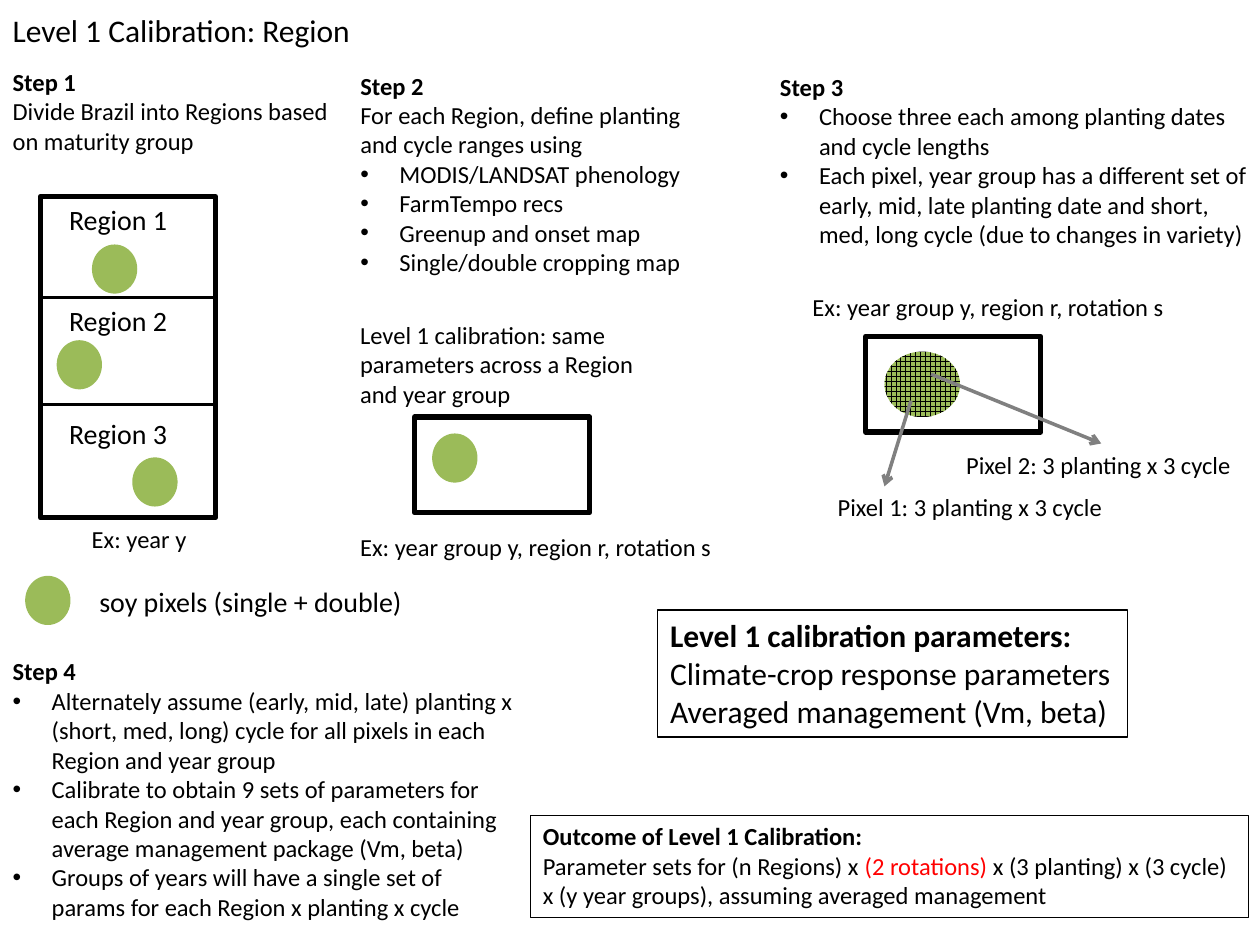
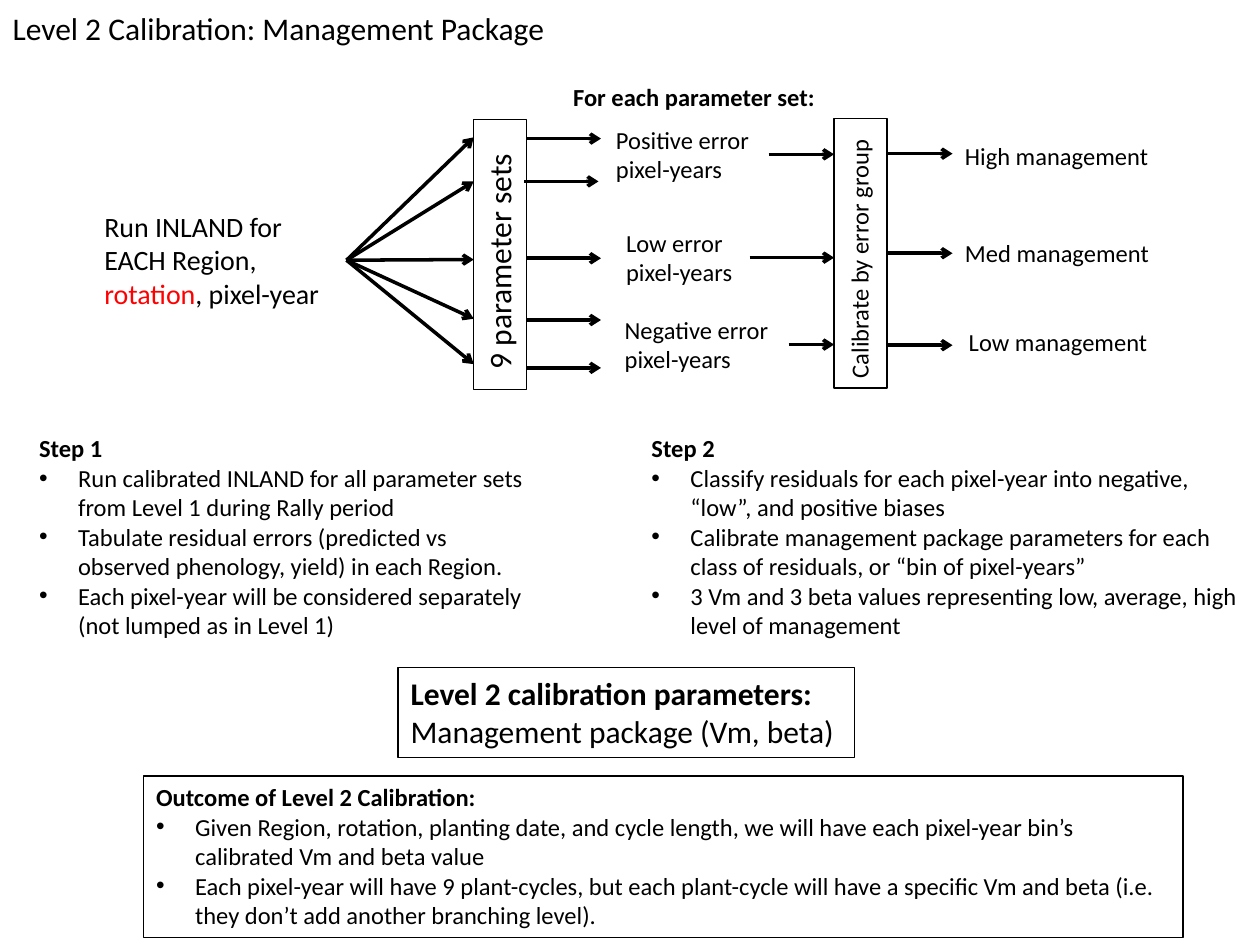
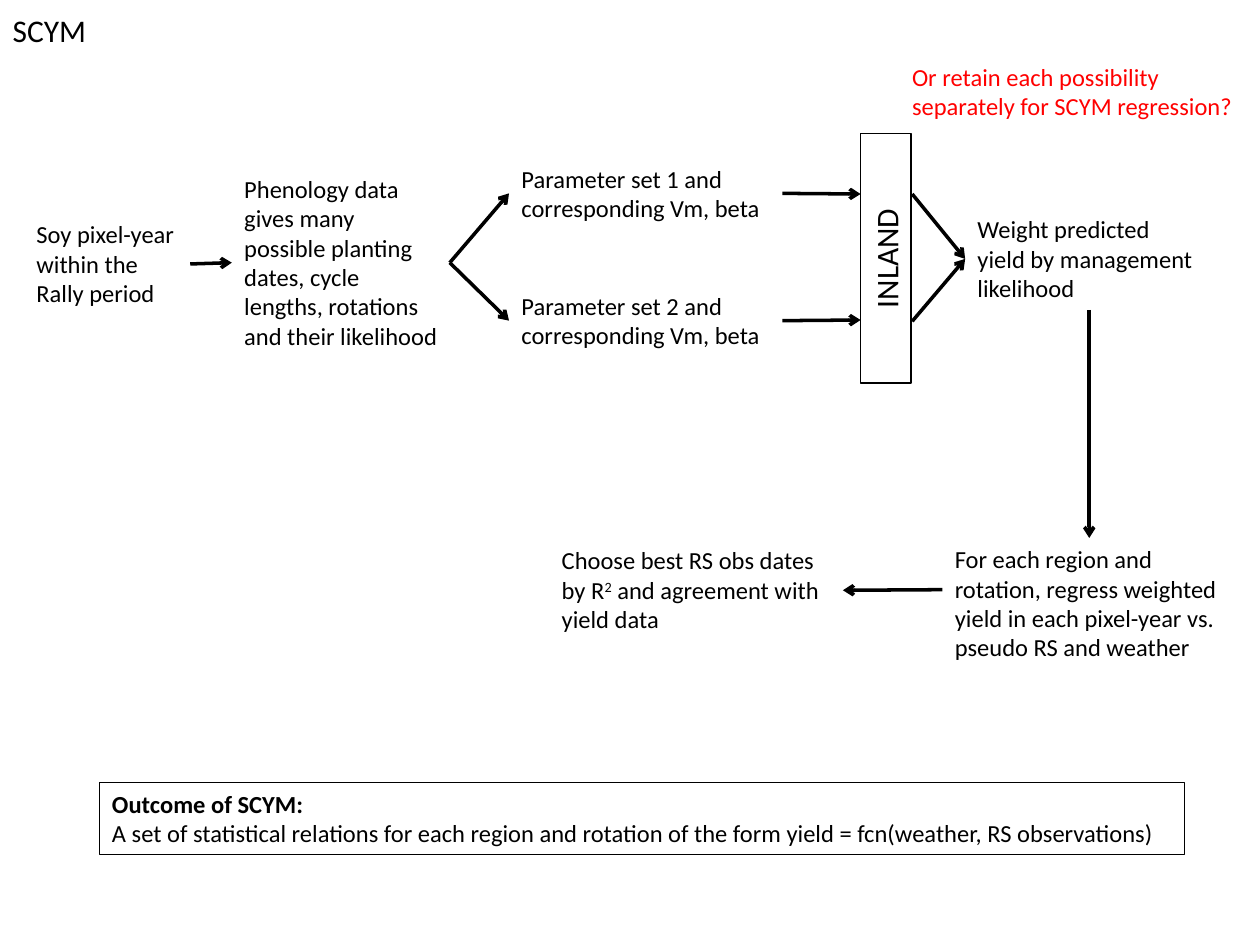
from dataclasses import dataclass

from lxml.etree import SubElement
from pptx import Presentation
from pptx.dml.color import RGBColor
from pptx.enum.dml import MSO_PATTERN
from pptx.enum.shapes import MSO_CONNECTOR, MSO_SHAPE
from pptx.enum.text import MSO_ANCHOR, MSO_AUTO_SIZE, PP_ALIGN
from pptx.oxml.ns import qn
from pptx.util import Inches, Pt


@dataclass(frozen=True)
class Theme:
    font: str = "Calibri"
    ink: RGBColor = RGBColor(0, 0, 0)
    accent: RGBColor = RGBColor(0xFF, 0, 0)
    soy: RGBColor = RGBColor(0x9B, 0xBB, 0x59)
    pointer: RGBColor = RGBColor(0x80, 0x80, 0x80)
    title: int = 18
    label: int = 16
    body: int = 14
    hairline: float = 0.75
    rule: float = 2
    frame: float = 3
    indent: float = 0.31


THEME = Theme()
TOP, LEFT, BOTTOM, RIGHT = range(4)

# Content: a paragraph is (kind, text) or (kind, [(text, style), ...])
LAYOUT_TITLE_ONLY, LAYOUT_TWO_LISTS, LAYOUT_FOUR_LISTS = 5, 3, 4

REGION_STEPS = [
    ((0, 0.48, 2.76, 0.81), [
        ("head", "Step 1"),
        ("plain", "Divide Brazil into Regions based on maturity group")]),
    ((2.76, 0.51, 2.76, 1.75), [
        ("head", "Step 2"),
        ("plain", "For each Region, define planting and cycle ranges using"),
        ("bullet", "MODIS/LANDSAT phenology"),
        ("bullet", "FarmTempo recs"),
        ("bullet", "Greenup and onset map"),
        ("bullet", "Single/double cropping map")]),
    ((6.09, 0.52, 3.91, 1.51), [
        ("head", "Step 3"),
        ("bullet", "Choose three each among planting dates and cycle lengths"),
        ("bullet", "Each pixel, year group has a different set of early, mid, late "
                   "planting date and short, med, long cycle (due to changes in variety)")]),
    ((0, 5.16, 4.21, 2.22), [
        ("head", "Step 4"),
        ("bullet", "Alternately assume (early, mid, late) planting x (short, med, long) "
                   "cycle for all pixels in each Region and year group"),
        ("bullet", "Calibrate to obtain 9 sets of parameters for each Region and year "
                   "group, each containing average management package (Vm, beta)"),
        ("bullet", "Groups of years will have a single set of params for each "
                   "Region x planting x cycle")]),
]
REGION_PARAMETERS = [
    ("head", "Level 1 calibration parameters:"),
    ("plain", "Climate-crop response parameters"),
    ("plain", "Averaged management (Vm, beta)")]
REGION_OUTCOME = [
    ("head", "Outcome of Level 1 Calibration:"),
    ("plain", [("Parameter sets for (n Regions) x ", ""), ("(2 rotations)", "accent"),
               (" x (3 planting) x (3 cycle) x (y year groups), "
                "assuming averaged management", "")])]
# Region name, top of its label, left and top of its soy spot
REGIONS = [("Region 1", 1.56, 0.73, 1.94),
           ("Region 2", 2.36, 0.45, 2.7),
           ("Region 3", 3.26, 1.05, 3.63)]
GROUP_EXAMPLE = "Ex: year group y, region r, rotation s"
# Pixel label, its place, pointer start and end
PIXELS = [("Pixel 1: 3 planting x 3 cycle", (6.55, 3.86), (7.23, 3.18), (7.02, 3.86)),
          ("Pixel 2: 3 planting x 3 cycle", (7.57, 3.52), (7.39, 2.97), (8.74, 3.52))]

PACKAGE_STEPS = [
    ((0.21, 3.39, 4.18, 1.75), [
        ("head", "Step 1"),
        ("bullet", "Run calibrated INLAND for all parameter sets from Level 1 "
                   "during Rally period"),
        ("bullet", "Tabulate residual errors (predicted vs observed phenology, yield) "
                   "in each Region."),
        ("bullet", "Each pixel-year will be considered separately "
                   "(not lumped as in Level 1)")]),
    ((5.07, 3.39, 4.98, 1.75), [
        ("head", "Step 2"),
        ("bullet", "Classify residuals for each pixel-year into negative, “low”, "
                   "and positive biases"),
        ("bullet", "Calibrate management package parameters for each class of "
                   "residuals, or “bin of pixel-years”"),
        ("bullet", "3 Vm and 3 beta values representing low, average, high "
                   "level of management")]),
]
PACKAGE_PARAMETERS = [
    ("head", "Level 2 calibration parameters:"),
    ("plain", "Management package (Vm, beta)")]
PACKAGE_OUTCOME = [
    ("head", "Outcome of Level 2 Calibration:"),
    ("bullet", "Given Region, rotation, planting date, and cycle length, we will have "
               "each pixel-year bin’s calibrated Vm and beta value"),
    ("bullet", "Each pixel-year will have 9 plant-cycles, but each plant-cycle will have "
               "a specific Vm and beta (i.e. they don’t add another branching level).")]
RUN_MODEL = [("plain", [("Run INLAND for EACH Region, ", ""), ("rotation", "accent"),
                        (", pixel-year", "")])]
# Arrow heights into the parameter sets; start and height of those leaving
FAN_ENDS = [1.09, 1.44, 2.06, 2.53, 2.89]
SET_EXITS = [(4.18, 1.1), (4.16, 1.44), (4.18, 2.05), (4.18, 2.54), (4.18, 2.92)]
# Error group and place, management level and place, arrow height
ERROR_GROUPS = [
    ("Positive error pixel-years", (4.79, 0.94, 1.31, 0.57),
     "High management", (7.56, 1.07, 1.67, 0.34), 1.22),
    ("Low error pixel-years", (4.87, 1.76, 1.08, 0.57),
     "Med management", (7.56, 1.84, 1.68, 0.34), 2.01),
    ("Negative error pixel-years", (4.86, 2.45, 1.4, 0.57),
     "Low management", (7.59, 2.55, 1.63, 0.34), 2.74)]

FLOW = {
    "soy": ("Soy pixel-year within the Rally period", (0.19, 1.69, 1.32, 0.81)),
    "phenology": ("Phenology data gives many possible planting dates, cycle lengths, "
                  "rotations and their likelihood", (1.84, 1.33, 1.73, 1.51)),
    "set 1": ("Parameter set 1 and corresponding Vm, beta", (4.04, 1.25, 2.17, 0.57)),
    "set 2": ("Parameter set 2 and corresponding Vm, beta", (4.04, 2.26, 2.17, 0.57)),
    "weight": ("Weight predicted yield by management likelihood",
               (7.66, 1.65, 1.97, 0.81)),
    "regress": ("For each region and rotation, regress weighted yield in each "
                "pixel-year vs. pseudo RS and weather", (7.48, 4.27, 2.33, 1.04)),
    "choose": ([("Choose best RS obs dates by R", ""), ("2", "super"),
                (" and agreement with yield data", "")], (4.36, 4.28, 2.33, 0.81)),
}
FLOW_LINKS = [
    (("soy", RIGHT), ("phenology", LEFT)),
    (("phenology", RIGHT), ("set 1", LEFT)),
    (("phenology", RIGHT), ("set 2", LEFT)),
    (("set 1", RIGHT), (6.83, 1.54)),
    (("set 2", RIGHT), (6.83, 2.54)),
    ((7.24, 1.54), ("weight", LEFT)),
    ((7.24, 2.55), ("weight", LEFT)),
    (("weight", BOTTOM), ("regress", TOP)),
    ((7.48, 4.68), ("choose", RIGHT)),
]
SCYM_OUTCOME = [
    ("head", "Outcome of SCYM:"),
    ("plain", "A set of statistical relations for each region and rotation of the form "
              "yield = fcn(weather, RS observations)")]


# Text
def set_bullet(para, kind):
    properties = para._p.get_or_add_pPr()
    indent = Inches(THEME.indent) if kind == "bullet" else 0
    properties.set("marL", str(indent))
    properties.set("indent", str(-indent))
    if kind == "bullet":
        SubElement(properties, qn("a:buFont")).set("typeface", "Arial")
        SubElement(properties, qn("a:buChar")).set("char", "•")
    else:
        SubElement(properties, qn("a:buNone"))


def write(shape, paragraphs, size=THEME.body, wrap=True, color=THEME.ink,
          align=PP_ALIGN.LEFT):
    frame = shape.text_frame
    frame.word_wrap = wrap
    frame.auto_size = MSO_AUTO_SIZE.SHAPE_TO_FIT_TEXT
    frame.vertical_anchor = MSO_ANCHOR.TOP
    for number, (kind, content) in enumerate(paragraphs):
        para = frame.add_paragraph() if number else frame.paragraphs[0]
        set_bullet(para, kind)
        para.alignment = align
        para.space_before = Pt(0)
        font = para.font
        font.name, font.size, font.bold = THEME.font, Pt(size), kind == "head"
        font.color.rgb = color
        for text, style in [(content, "")] if isinstance(content, str) else content:
            span = para.add_run()
            span.text = text
            if style == "accent":
                span.font.color.rgb = THEME.accent
            elif style == "super":
                span.font._element.set("baseline", "30000")


def place(shape, area):
    shape.left, shape.top, shape.width, shape.height = map(Inches, area)


def add_label(page, area, content, kind="plain", rotation=0, **style):
    box = page.shapes.add_textbox(*map(Inches, area))
    box.rotation = rotation
    write(box, [(kind, content)], **style)
    return box


# Shapes and lines
def add_figure(page, preset, area, fill=None, line=None):
    shape = page.shapes.add_shape(preset, *map(Inches, area))
    shape.shadow.inherit = False
    if fill is None:
        shape.fill.background()
    else:
        shape.fill.solid()
        shape.fill.fore_color.rgb = fill
    if line is None:
        shape.line.fill.background()
    else:
        shape.line.color.rgb = THEME.ink
        shape.line.width = Pt(line)
    return shape


def add_frame(page, area, line=THEME.frame):
    return add_figure(page, MSO_SHAPE.RECTANGLE, area, line=line)


def add_spot(page, left, top):
    return add_figure(page, MSO_SHAPE.OVAL, (left, top, 0.36, 0.39), fill=THEME.soy)


def add_note(page, area, paragraphs, **style):
    write(add_frame(page, area, THEME.hairline), paragraphs, **style)


def add_line(page, start, end, color=THEME.ink, arrow=True):
    """Each end is an (x, y) point or a (shape, side) pair."""
    points = [(0, 0) if hasattr(place, "shape_type") else place
              if isinstance(place[0], (int, float)) else (0, 0) for place in (start, end)]
    (x1, y1), (x2, y2) = points
    link = page.shapes.add_connector(MSO_CONNECTOR.STRAIGHT, Inches(x1), Inches(y1),
                                     Inches(x2), Inches(y2))
    if not isinstance(start[0], (int, float)):
        link.begin_connect(*start)
    if not isinstance(end[0], (int, float)):
        link.end_connect(*end)
    link.line.color.rgb = color
    link.line.width = Pt(THEME.rule)
    if arrow:
        SubElement(link.line._get_or_add_ln(), qn("a:tailEnd")).set("type", "arrow")
    SubElement(link._element.spPr, qn("a:effectLst"))


def add_page(deck, layout, title, title_area, steps=()):
    page = deck.slides.add_slide(deck.slide_layouts[layout])
    place(page.shapes.title, title_area)
    write(page.shapes.title, [("plain", title)], size=THEME.title, wrap=False)
    bodies = [box for box in page.placeholders if box.placeholder_format.idx]
    for body, (area, paragraphs) in zip(bodies, steps):
        place(body, area)
        write(body, paragraphs)
    return page


# Slides
def build_region(deck):
    page = add_page(deck, LAYOUT_FOUR_LISTS, "Level 1 Calibration: Region",
                    (0, 0.04, 2.92, 0.4), REGION_STEPS)
    # Regions and legend
    add_frame(page, (0.32, 1.56, 1.39, 2.55))
    for height in (2.36, 3.21):
        add_line(page, (0.32, height), (1.71, height), arrow=False)
    for name, top, spot_left, spot_top in REGIONS:
        add_label(page, (0.45, top, 0.99, 0.37), name, size=THEME.label, wrap=False)
        add_spot(page, spot_left, spot_top)
    add_label(page, (0.63, 4.11, 0.96, 0.34), "Ex: year y", wrap=False)
    add_spot(page, 0.2, 4.57)
    add_label(page, (0.69, 4.59, 2.64, 0.37), "soy pixels (single + double)",
              size=THEME.label, wrap=False)
    # One region with shared parameters
    add_label(page, (2.76, 2.49, 2.46, 0.81),
              "Level 1 calibration: same parameters across a Region and year group")
    add_frame(page, (3.29, 3.31, 1.39, 0.76))
    add_spot(page, 3.43, 3.44)
    for left, top in ((2.76, 4.17), (6.35, 2.27)):
        add_label(page, (left, top, 3.06, 0.34), GROUP_EXAMPLE, wrap=False)
    # One region split into pixels
    add_frame(page, (6.87, 2.67, 1.39, 0.76))
    grid = add_figure(page, MSO_SHAPE.OVAL, (7.02, 2.79, 0.6, 0.52))
    grid.fill.patterned()
    grid.fill.pattern = MSO_PATTERN.LARGE_GRID
    grid.fill.fore_color.rgb = THEME.ink
    grid.fill.back_color.rgb = THEME.soy
    for text, (left, top), start, end in PIXELS:
        add_label(page, (left, top, 2.33, 0.34), text, wrap=False)
        add_line(page, start, end, THEME.pointer)
    # Summary
    add_note(page, (4.21, 6.47, 5.7, 0.81), REGION_OUTCOME)
    add_note(page, (5.22, 4.84, 3.73, 1.01), REGION_PARAMETERS,
             size=THEME.title, wrap=False)


def build_package(deck):
    page = add_page(deck, LAYOUT_TWO_LISTS, "Level 2 Calibration: Management Package",
                    (0, 0.02, 4.49, 0.4), PACKAGE_STEPS)
    # Model runs feeding the parameter sets
    run = add_label(page, (0.73, 1.61, 2.02, 0.91), RUN_MODEL[0][1], size=THEME.label)
    add_frame(page, (3.76, 0.95, 0.42, 2.14), THEME.hairline)
    add_label(page, (2.99, 1.86, 1.94, 0.4), "9 parameter sets", rotation=270,
              size=THEME.title, wrap=False)
    for height in FAN_ENDS:
        add_line(page, (run, RIGHT), (3.76, height))
    for left, height in SET_EXITS:
        add_line(page, (left, height), (left + 0.59, height))
    # Error groups and management levels
    add_label(page, (4.45, 0.6, 2.15, 0.34), "For each parameter set:", "head", wrap=False)
    bar = add_frame(page, (6.62, 0.94, 0.42, 2.14), THEME.hairline)
    add_label(page, (5.76, 1.87, 2.12, 0.34), "Calibrate by error group", rotation=270,
              wrap=False)
    for error, error_area, level, level_area, height in ERROR_GROUPS:
        group = add_label(page, error_area, error)
        result = add_label(page, level_area, level, wrap=False)
        add_line(page, (group, RIGHT), (6.62, error_area[1] + error_area[3] / 2))
        if level.startswith("Med"):
            add_line(page, (bar, RIGHT), (result, LEFT))
        else:
            add_line(page, (7.04, height), (7.56, height))
    # Summary
    add_note(page, (1.14, 6.16, 8.25, 1.28), PACKAGE_OUTCOME)
    add_note(page, (3.16, 5.3, 3.62, 0.71), PACKAGE_PARAMETERS,
             size=THEME.title, wrap=False)


def build_scym(deck):
    page = add_page(deck, LAYOUT_TITLE_ONLY, "SCYM", (0, 0.04, 0.79, 0.4))
    boxes = {name: add_label(page, area, text) for name, (text, area) in FLOW.items()}
    model = add_frame(page, (6.04, 1.85, 1.98, 0.4), THEME.hairline)
    model.rotation = 270
    write(model, [("plain", "INLAND")], size=THEME.title, align=PP_ALIGN.CENTER)
    for link in FLOW_LINKS:
        add_line(page, *[(boxes.get(first, first), second) for first, second in link])
    add_note(page, (0.79, 6.21, 8.61, 0.57), SCYM_OUTCOME)
    add_label(page, (7.14, 0.44, 2.86, 0.57),
              "Or retain each possibility separately for SCYM regression?",
              color=THEME.accent)


def main():
    deck = Presentation()
    deck.slide_width, deck.slide_height = Inches(10), Inches(7.5)
    build_region(deck)
    build_package(deck)
    build_scym(deck)
    deck.save("out.pptx")


if __name__ == "__main__":
    main()
